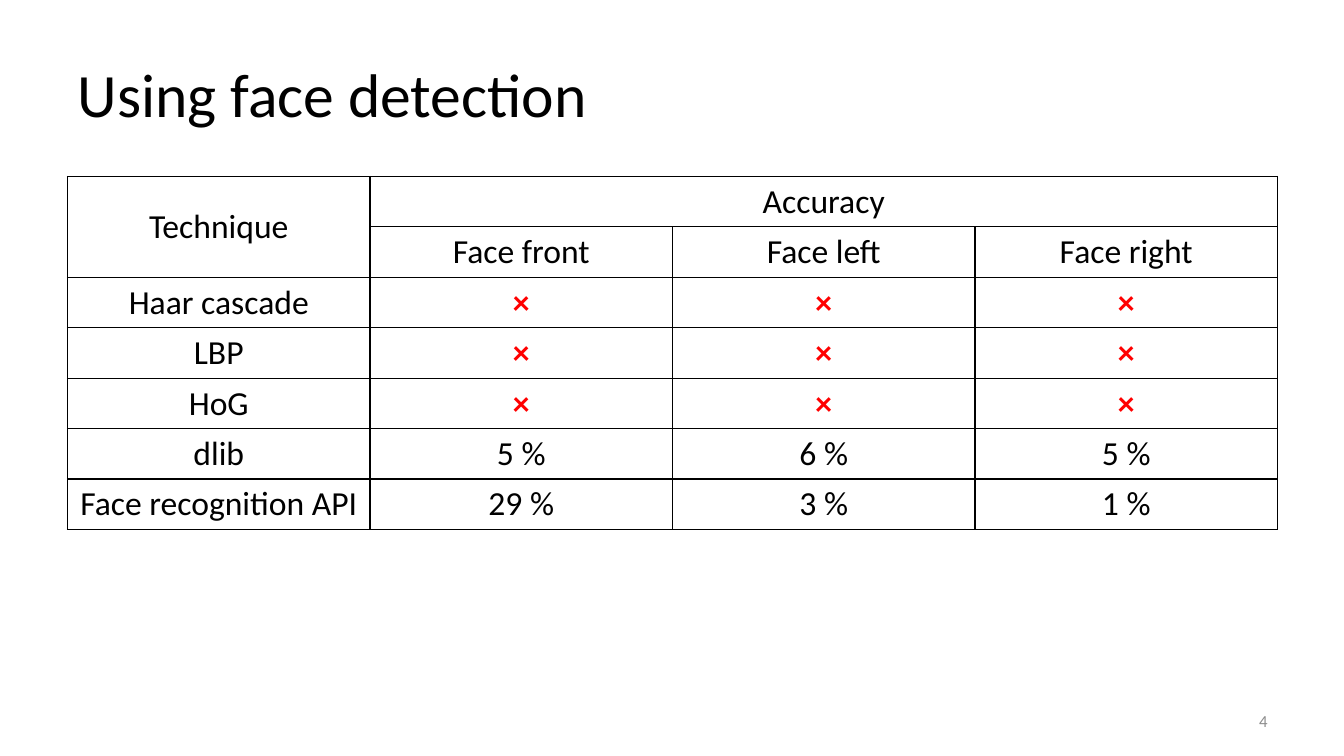
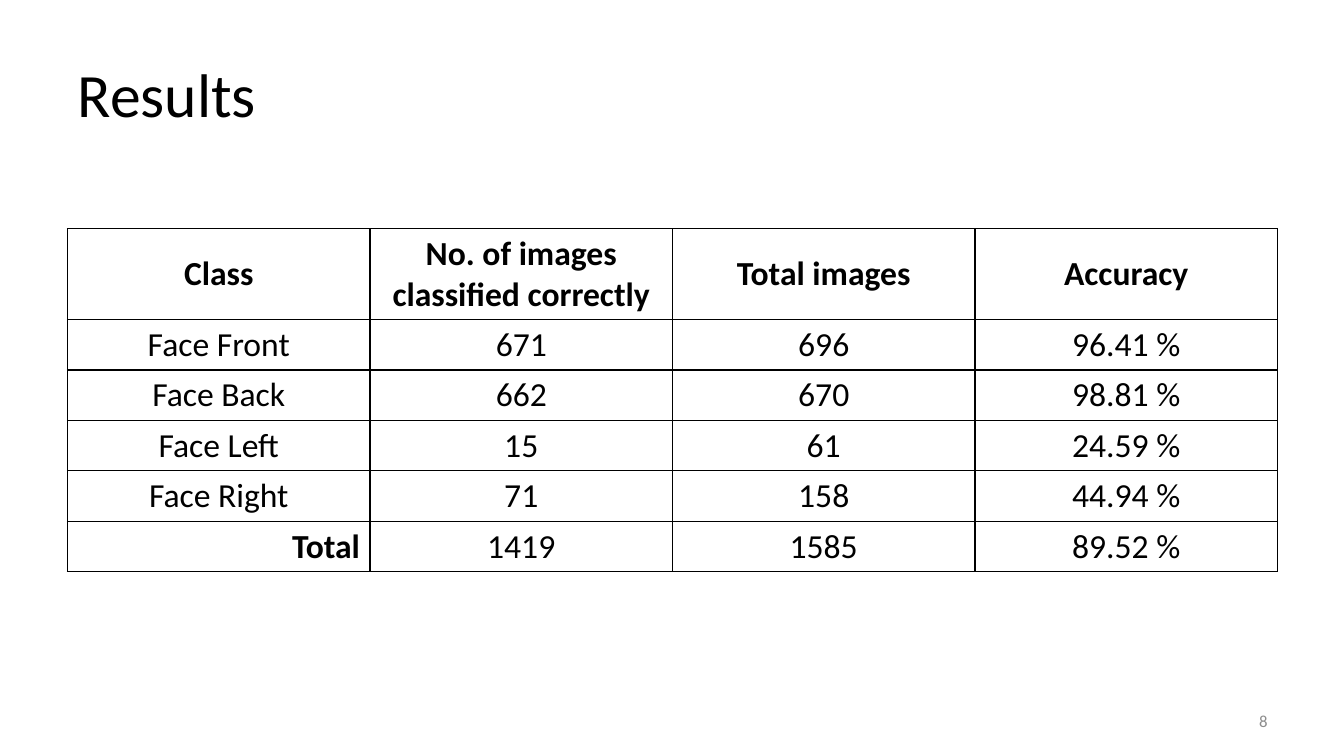
from dataclasses import dataclass

from lxml.etree import SubElement
from pptx import Presentation
from pptx.dml.color import RGBColor
from pptx.enum.text import MSO_ANCHOR, MSO_AUTO_SIZE, PP_ALIGN
from pptx.oxml.ns import qn
from pptx.util import Inches, Pt


@dataclass(frozen=True)
class Theme:
    font: str = "Calibri"
    ink: str = "000000"
    alert: str = "FF0000"
    muted: str = "8C8C8C"
    title: int = 44
    body: int = 24
    small: int = 12
    rule: int = 1


THEME = Theme()
LEFT, WIDTH = 0.67, 12
ROW = 0.5
CROSS = "×"

DETECT = [
    ["Technique", "Accuracy", "", ""],
    ["", "Face front", "Face left", "Face right"],
    ["Haar cascade"] + [CROSS] * 3,
    ["LBP"] + [CROSS] * 3,
    ["HoG"] + [CROSS] * 3,
    ["dlib", "5 %", "6 %", "5 %"],
    ["Face recognition API", "29 %", "3 %", "1 %"],
]
RESULTS = [
    ["Class", "No. of images classified correctly", "Total images", "Accuracy"],
    ["Face Front", "671", "696", "96.41 %"],
    ["Face Back", "662", "670", "98.81 %"],
    ["Face Left", "15", "61", "24.59 %"],
    ["Face Right", "71", "158", "44.94 %"],
    ["Total", "1419", "1585", "89.52 %"],
]


def write(frame, text, size, color=THEME.ink, align=PP_ALIGN.LEFT, bold=False):
    para = frame.paragraphs[0]
    para.text = text
    para.alignment = align
    font = para.font
    font.name, font.size, font.bold = THEME.font, Pt(size), bold
    font.color.rgb = RGBColor.from_string(color)


def outline(cell):
    """Rule all four sides of a cell."""
    props = cell._tc.get_or_add_tcPr()
    for side in ("lnL", "lnR", "lnT", "lnB"):
        line = SubElement(props, qn(f"a:{side}"), w=str(Pt(THEME.rule)))
        fill = SubElement(line, qn("a:solidFill"))
        SubElement(fill, qn("a:srgbClr"), val=THEME.ink)


def add_title(slide, text, left, top, width, height):
    title = slide.shapes.title
    title.left, title.top = Inches(left), Inches(top)
    title.width, title.height = Inches(width), Inches(height)
    frame = title.text_frame
    frame.vertical_anchor = MSO_ANCHOR.MIDDLE
    frame.auto_size = MSO_AUTO_SIZE.NONE
    write(frame, text, THEME.title)


def add_number(slide, number, left, top, width, height):
    box = slide.shapes.add_textbox(
        Inches(left), Inches(top), Inches(width), Inches(height))
    frame = box.text_frame
    frame.word_wrap = True
    frame.vertical_anchor = MSO_ANCHOR.MIDDLE
    write(frame, str(number), THEME.small, THEME.muted, PP_ALIGN.RIGHT)


def add_grid(slide, data, left, top, width, head=ROW, bold=False):
    """Draw a ruled table; head is the height of its first row, bold its weight."""
    count = len(data[0])
    height = head + ROW * (len(data) - 1)
    table = slide.shapes.add_table(
        len(data), count, Inches(left), Inches(top),
        Inches(width), Inches(height)).table
    table.first_row = table.horz_banding = False
    for column in table.columns:
        column.width = Inches(width / count)
    for r, values in enumerate(data):
        table.rows[r].height = Inches(ROW if r else head)
        for c, value in enumerate(values):
            cell = table.cell(r, c)
            outline(cell)
            cell.fill.background()
            cell.vertical_anchor = MSO_ANCHOR.MIDDLE
            cross, total = value == CROSS, value == "Total"
            write(cell.text_frame, value, THEME.body,
                  THEME.alert if cross else THEME.ink,
                  PP_ALIGN.RIGHT if total else PP_ALIGN.CENTER,
                  cross or total or (bold and r == 0))
    return table


def add_page(deck, title, number):
    """Add a slide with the shared title and page number."""
    slide = deck.slides.add_slide(deck.slide_layouts[5])
    add_title(slide, title, LEFT, 0.3, WIDTH, 1.25)
    add_number(slide, number, 9.56, 6.95, 3.11, 0.4)
    return slide


def add_detect(deck):
    slide = add_page(deck, "Using face detection", 4)
    table = add_grid(slide, DETECT, LEFT, 1.75, WIDTH)
    table.cell(0, 0).merge(table.cell(1, 0))
    table.cell(0, 1).merge(table.cell(0, 3))


def add_results(deck):
    slide = add_page(deck, "Results", 8)
    add_grid(slide, RESULTS, LEFT, 2.27, WIDTH, head=0.9, bold=True)


def main():
    deck = Presentation()
    deck.slide_width, deck.slide_height = Inches(13.33), Inches(7.5)
    add_detect(deck)
    add_results(deck)
    deck.save("out.pptx")


if __name__ == "__main__":
    main()
